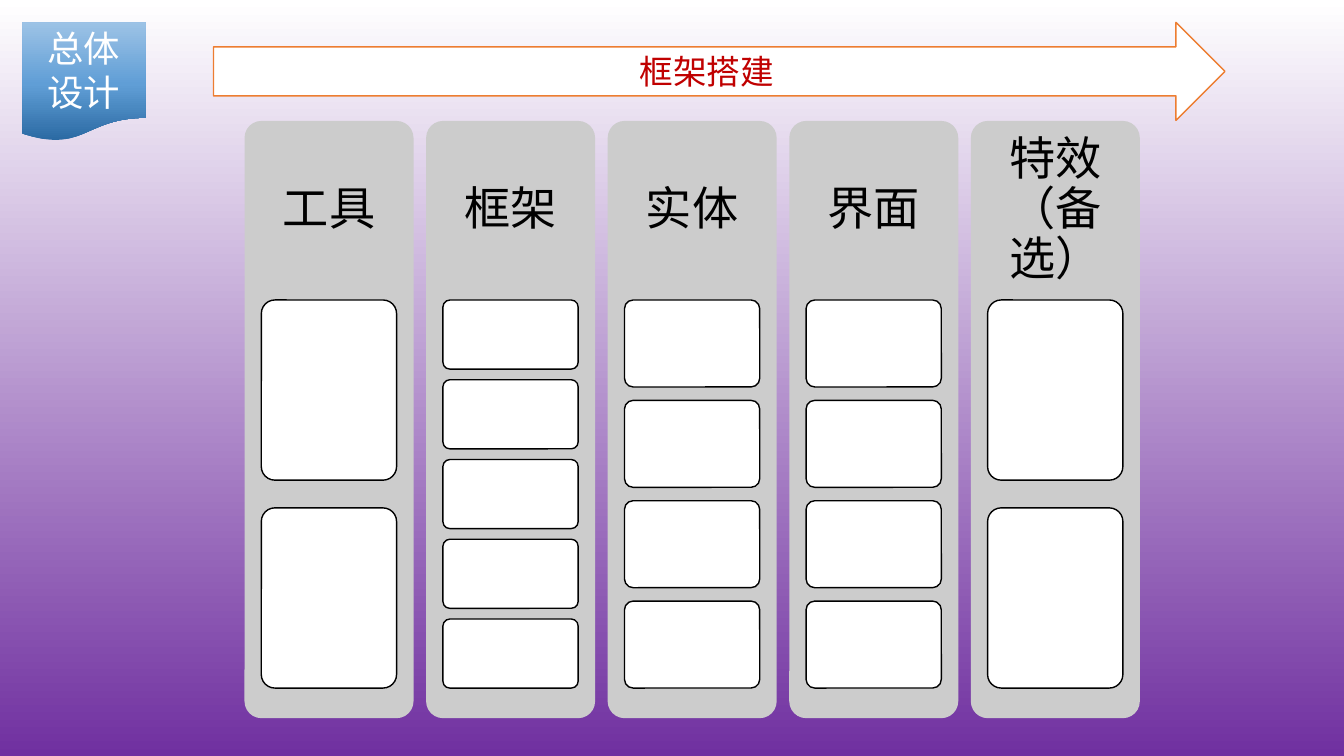
from lxml.etree import SubElement
from pptx import Presentation
from pptx.dml.color import RGBColor
from pptx.enum.shapes import MSO_SHAPE
from pptx.enum.text import MSO_ANCHOR, PP_ALIGN
from pptx.oxml.ns import qn
from pptx.util import Pt

WHITE = RGBColor(0xFF, 0xFF, 0xFF)
BLACK = RGBColor(0x00, 0x00, 0x00)
RED = RGBColor(0xC0, 0x00, 0x00)
ORANGE = RGBColor(0xED, 0x7D, 0x31)
GREY = RGBColor(0xCC, 0xCC, 0xCC)
PALE_BLUE = RGBColor(0xED, 0xF1, 0xF9)
PURPLE = RGBColor(0x70, 0x30, 0xA0)
BLUE = RGBColor(0x44, 0x72, 0xC4)
BADGE_DARK = RGBColor(0x2A, 0x69, 0xA2)
BADGE_MID = RGBColor(0x60, 0x9E, 0xD6)
BADGE_LIGHT = RGBColor(0x9D, 0xC3, 0xE6)
FONT = "Noto Sans CJK SC"


def set_gradient(fill, owner, angle, stops):
    """Fill with (percent, colour) stops; owner is the XML element holding the fill."""
    fill.gradient()
    fill.gradient_angle = angle
    gs_list = owner.find(".//" + qn("a:gsLst"))
    for gs in list(gs_list):
        gs_list.remove(gs)
    for percent, color in stops:
        gs = SubElement(gs_list, qn("a:gs"), pos=str(percent * 1000))
        SubElement(gs, qn("a:srgbClr"), val=str(color))


def write_text(shape, text, size, color, margin=None, spacing=None):
    tf = shape.text_frame
    tf.word_wrap = True
    tf.vertical_anchor = MSO_ANCHOR.MIDDLE
    if margin is not None:
        tf.margin_left = tf.margin_right = tf.margin_top = tf.margin_bottom = Pt(margin)
    p = tf.paragraphs[0]
    p.alignment = PP_ALIGN.CENTER
    p.line_spacing = spacing
    r = p.add_run()
    r.text = text
    r.font.size = Pt(size)
    r.font.color.rgb = color
    r.font.name = FONT
    SubElement(r.font._element, qn("a:ea"), typeface=FONT)


prs = Presentation()
prs.slide_width, prs.slide_height = Pt(960), Pt(540)
s = prs.slides.add_slide(prs.slide_layouts[6])
set_gradient(s.background.fill, s.element, 270,
             [(0, PALE_BLUE), (0, WHITE), (100, PURPLE), (100, BLUE)])

# Title badge and banner arrow
badge = s.shapes.add_shape(MSO_SHAPE.FLOWCHART_DOCUMENT, Pt(16), Pt(16), Pt(88), Pt(85))
badge.shadow.inherit = False
set_gradient(badge.fill, badge.element.spPr, 90,
             [(0, BADGE_DARK), (48, BADGE_MID), (100, BADGE_LIGHT)])
badge.line.fill.background()
write_text(badge, "总体设计", 26, WHITE)

arrow = s.shapes.add_shape(MSO_SHAPE.RIGHT_ARROW, Pt(152.5), Pt(16), Pt(722.5), Pt(70))
arrow.shadow.inherit = False
arrow.fill.solid()
arrow.fill.fore_color.rgb = WHITE
arrow.line.color.rgb = ORANGE
arrow.line.width = Pt(1)
write_text(arrow, "框架搭建", 24, RED)

# Columns, each with a heading and a stack of boxes
COLUMNS = [("工具", 2), ("框架", 5), ("实体", 4), ("界面", 4), ("特效（备选）", 2)]
LEFT, TOP, WIDTH, HEIGHT, PITCH = 174.7, 86.4, 120.7, 426.6, 129.7
HEADING_HEIGHT = 128
STACK_TOP, STACK_HEIGHT = 214.3, 277.2
BOX_INDENT, BOX_WIDTH = 12, 96.6
GAP_RATIO = 0.154  # gap between boxes relative to box height

for i, (heading, count) in enumerate(COLUMNS):
    x = LEFT + i * PITCH
    box_height = STACK_HEIGHT / (count + GAP_RATIO * (count - 1))
    step = box_height * (1 + GAP_RATIO)
    panels = [(x, TOP, WIDTH, HEIGHT, GREY)]
    panels += [(x + BOX_INDENT, STACK_TOP + n * step, BOX_WIDTH, box_height, WHITE)
               for n in range(count)]
    for left, top, width, height, color in panels:
        panel = s.shapes.add_shape(MSO_SHAPE.ROUNDED_RECTANGLE,
                                   Pt(left), Pt(top), Pt(width), Pt(height))
        panel.adjustments[0] = 0.1
        panel.shadow.inherit = False
        panel.fill.solid()
        panel.fill.fore_color.rgb = color
        if color == GREY:
            panel.line.fill.background()
        else:
            panel.line.color.rgb = BLACK
            panel.line.width = Pt(1)
    label = s.shapes.add_textbox(Pt(x), Pt(TOP), Pt(WIDTH), Pt(HEADING_HEIGHT))
    write_text(label, heading, 33, BLACK, margin=10, spacing=0.9)

prs.save("out.pptx")
